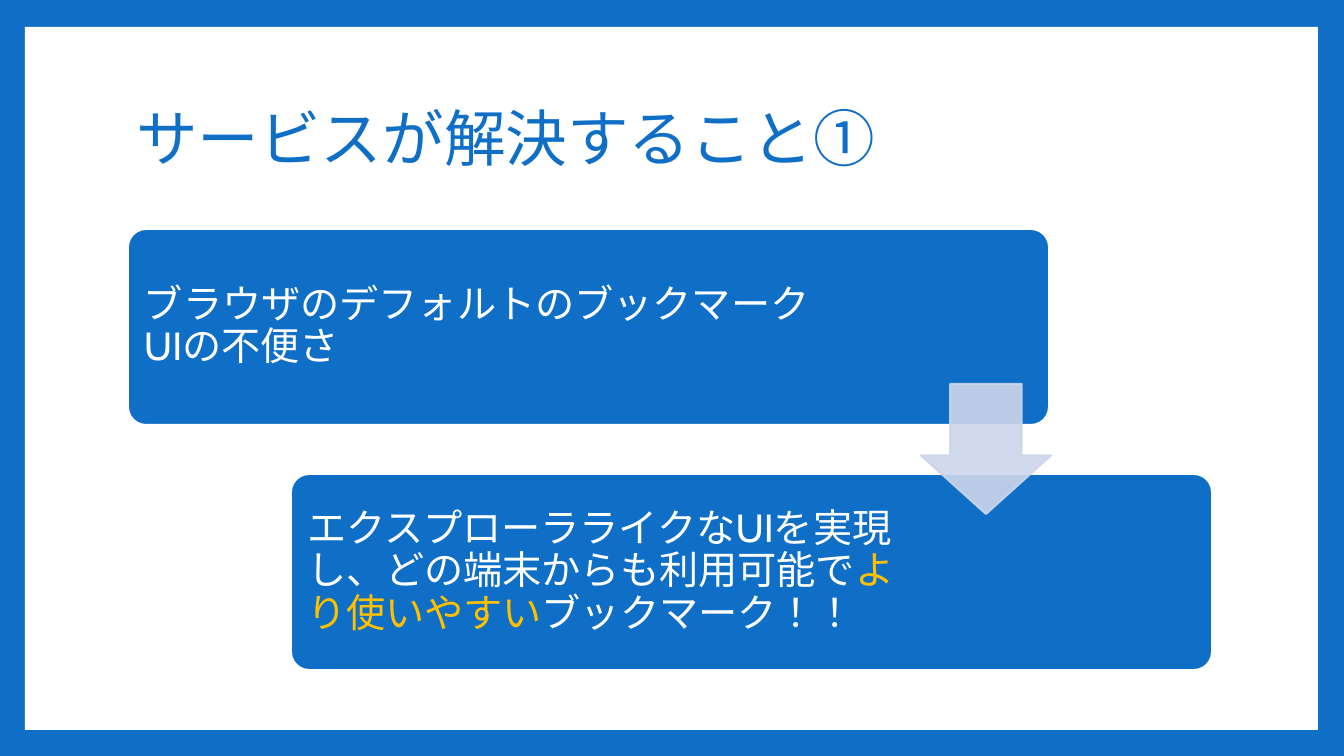
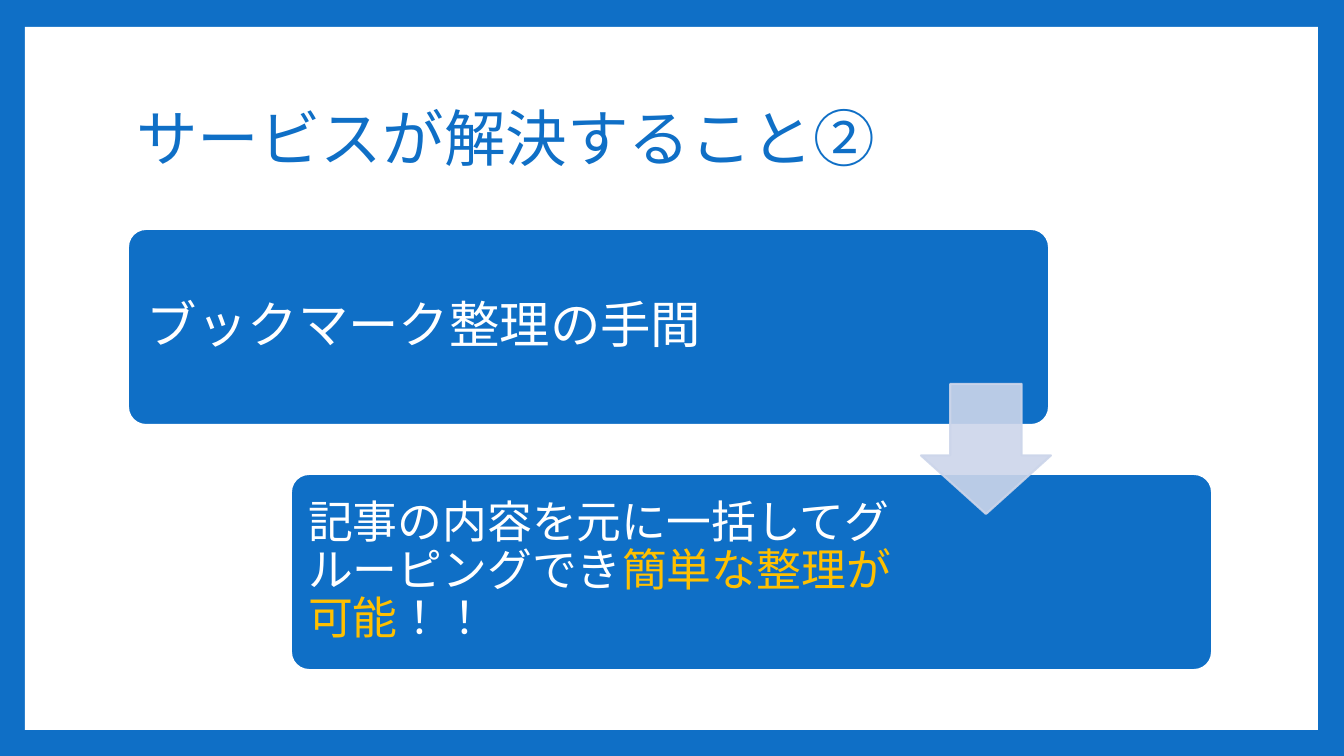
from pptx import Presentation
from pptx.dml.color import RGBColor
from pptx.enum.lang import MSO_LANGUAGE_ID as Language
from pptx.enum.shapes import MSO_SHAPE as Shape
from pptx.enum.text import MSO_ANCHOR as Anchor, MSO_AUTO_SIZE as AutoSize, PP_ALIGN as Align
from pptx.oxml.ns import qn
from pptx.util import Pt
from lxml import etree

COLORS = {"blue": "0F6FC6", "white": "FFFFFF", "gold": "FFC000", "arrow": "CCD5EA"}
FONT = "Cabin"
SCALE = 914400 / 100.8
PAGE_SIZE = (1344, 756)
PANEL_BOX = (25, 27, 1293, 703)
TITLE_BOX = (126, 68, 1089, 148)
FLOW_BOX = (126, 227, 1088, 445)
CARD_WIDTH, CARD_HEIGHT = 925, 200
CARD_PADDING = 6
ARROW_SIZE = 130
PROBLEM_TEXT_WIDTH, SOLUTION_TEXT_WIDTH = 718, 620

SLIDES = [
    {
        "title": "サービスが解決すること①",
        "problem": {"size": 28, "inset": 12,
                    "spans": [("ブラウザのデフォルトのブックマークUIの不便さ", "white")]},
        "solution": {"size": 28, "inset": 12,
                     "spans": [("エクスプローラライクなUIを実現し、どの端末からも利用可能で", "white"),
                               ("より使いやすい", "gold"), ("ブックマーク！！", "white")]},
    },
    {
        "title": "サービスが解決すること②",
        "problem": {"size": 36, "inset": 15,
                    "spans": [("ブックマーク整理の手間", "white")]},
        "solution": {"size": 32, "inset": 13,
                     "spans": [("記事の内容を元に一括してグルーピングでき", "white"),
                               ("簡単な整理が可能", "gold"), ("！！", "white")]},
    },
]


def emu(pixels):
    """Turn pixels into EMU."""
    return round(pixels * SCALE)


def rgb(name):
    """Look up a named colour."""
    return RGBColor.from_string(COLORS[name])


def add_filled(page, kind, box, fill, line=None, weight=0):
    """Add a flat preset shape with an optional outline."""
    shape = page.shapes.add_shape(kind, *map(emu, box))
    shape.shadow.inherit = False
    shape.fill.solid()
    shape.fill.fore_color.rgb = rgb(fill)
    if line:
        shape.line.color.rgb = rgb(line)
        shape.line.width = Pt(weight)
    else:
        shape.line.fill.background()
    return shape


def style_run(run, size, color):
    """Apply the deck font to one run."""
    run.font.name = FONT
    run.font.size = Pt(size)
    run.font.color.rgb = rgb(color)
    run.font.language_id = Language.JAPANESE


def style_frame(frame):
    """Wrap, centre vertically and left-align the first paragraph, and return it."""
    frame.word_wrap = True
    frame.auto_size = AutoSize.NONE
    frame.vertical_anchor = Anchor.MIDDLE
    para = frame.paragraphs[0]
    para.alignment = Align.LEFT
    para.line_spacing = 0.9
    return para


def set_up_layout(layout):
    """Colour the layout blue and drop its unused footer placeholders."""
    background = layout.background.fill
    background.solid()
    background.fore_color.rgb = rgb("blue")
    for holder in list(layout.placeholders)[1:]:
        layout.shapes.element.remove(holder.element)


def add_panel(page, box):
    """Lay the white panel behind everything else on the page."""
    panel = add_filled(page, Shape.RECTANGLE, box, "white")
    page.shapes.element.insert(2, panel.element)


def add_title(page, text, box):
    """Fill the title placeholder."""
    title = page.shapes.title
    title.left, title.top, title.width, title.height = map(emu, box)
    title.text_frame.text = text
    para = style_frame(title.text_frame)
    style_run(para.runs[0], 44, "blue")


def add_card(page, content, box, text_width):
    """Draw a rounded card with its text on the left."""
    left, top, width, height = box
    card = add_filled(page, Shape.ROUNDED_RECTANGLE, box, "blue", "white", 4.25)
    card.adjustments[0] = 0.1
    label_box = (left + CARD_PADDING, top + CARD_PADDING, text_width, height - 2 * CARD_PADDING)
    frame = page.shapes.add_textbox(*map(emu, label_box)).text_frame
    inset = emu(content["inset"])
    frame.margin_left = frame.margin_right = frame.margin_top = frame.margin_bottom = inset
    para = style_frame(frame)
    for text, color in content["spans"]:
        span = para.add_run()
        span.text = text
        style_run(span, content["size"], color)


def add_arrow(page, box):
    """Draw the translucent down arrow."""
    arrow = add_filled(page, Shape.DOWN_ARROW, box, "arrow", "arrow", 1.5)
    arrow.adjustments[0] = 0.55
    arrow.adjustments[1] = 0.45
    for color in arrow.element.spPr.iter(qn("a:srgbClr")):
        etree.SubElement(color, qn("a:alpha")).set("val", "90000")


def add_flow(page, problem, solution, box):
    """Step from the problem card down to the solution card."""
    left, top, width, height = box
    right, bottom = left + width, top + height
    problem_right = left + CARD_WIDTH
    add_card(page, problem, (left, top, CARD_WIDTH, CARD_HEIGHT), PROBLEM_TEXT_WIDTH)
    add_card(page, solution, (right - CARD_WIDTH, bottom - CARD_HEIGHT, CARD_WIDTH, CARD_HEIGHT),
             SOLUTION_TEXT_WIDTH)
    arrow_top = top + (height - ARROW_SIZE) // 2
    add_arrow(page, (problem_right - ARROW_SIZE, arrow_top, ARROW_SIZE, ARROW_SIZE))


def main():
    """Build and save the deck."""
    deck = Presentation()
    deck.slide_width, deck.slide_height = map(emu, PAGE_SIZE)
    layout = deck.slide_layouts.get_by_name("Title Only")
    set_up_layout(layout)
    for content in SLIDES:
        page = deck.slides.add_slide(layout)
        add_panel(page, PANEL_BOX)
        add_title(page, content["title"], TITLE_BOX)
        add_flow(page, content["problem"], content["solution"], FLOW_BOX)
    deck.save("out.pptx")


main()
